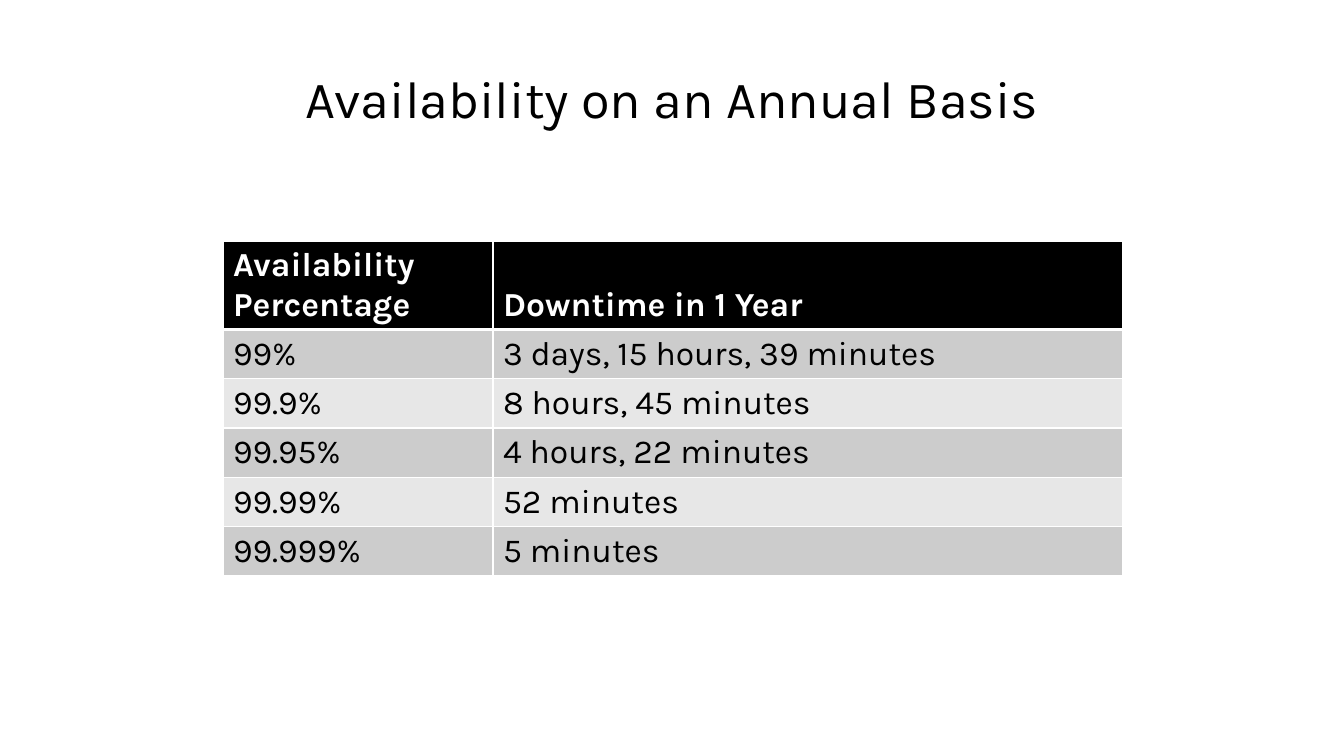
from pptx import Presentation
from pptx.dml.color import RGBColor
from pptx.enum.text import MSO_ANCHOR, PP_ALIGN
from pptx.oxml import parse_xml
from pptx.oxml.ns import nsdecls
from pptx.util import Pt

TOP, BOTTOM = MSO_ANCHOR.TOP, MSO_ANCHOR.BOTTOM
CENTER = PP_ALIGN.CENTER
SCALE = 12192000 / 1344
BLACK, WHITE = "000000", "FFFFFF"
BANDS = ["CCCCCC", "E7E7E7"]


def px(n):
    return round(n * SCALE)


def style(run, size, color, bold=False):
    font = run.font
    font.name = "Karla"
    font.size = Pt(size)
    font.bold = bold
    font.color.rgb = RGBColor.from_string(color)


deck = Presentation()
deck.slide_width, deck.slide_height = px(1344), px(756)
slide = deck.slides.add_slide(deck.slide_layouts[5])

title = slide.shapes.title
title.left, title.top, title.width, title.height = px(93), px(62), px(1159), px(59)
frame = title.text_frame
frame.word_wrap = True
frame.vertical_anchor = TOP
frame.margin_top = px(11)
frame.margin_bottom = 0
para = frame.paragraphs[0]
para.alignment = CENTER
para.line_spacing = 0.9
run = para.add_run()
run.text = "Availability on an Annual Basis"
style(run, 37.3, BLACK)

rows = [
    (["Availability ", "Percentage"], ["Downtime in 1 Year"]),
    (["99%"], ["3 days, 15 hours, 39 minutes"]),
    (["99.9%"], ["8 hours, 45 minutes"]),
    (["99.95%"], ["4 hours, 22 minutes"]),
    (["99.99%"], ["52 minutes"]),
    (["99.999%"], ["5 minutes"]),
]
widths = [270, 630]
heights = [88] + [49] * 5

grid = slide.shapes.add_table(
    len(rows), len(widths), px(223), px(241), px(sum(widths)), px(sum(heights))
).table
for col, width in zip(grid.columns, widths):
    col.width = px(width)
for row, height in zip(grid.rows, heights):
    row.height = px(height)

for r, row in enumerate(rows):
    head = r == 0
    for c, lines in enumerate(row):
        cell = grid.cell(r, c)
        cell.vertical_anchor = BOTTOM if head else TOP
        para = cell.text_frame.paragraphs[0]
        for i, line in enumerate(lines):
            if i:
                para.add_line_break()
            run = para.add_run()
            run.text = line
            style(run, 24, WHITE if head else BLACK, head)
        props = cell._tc.get_or_add_tcPr()
        for side in "LRTB":
            thick = (head and side == "B") or (r == 1 and side == "T")
            props.append(parse_xml(
                f'<a:ln{side} {nsdecls("a")} w="{Pt(3 if thick else 1)}"><a:solidFill>'
                f'<a:srgbClr val="{WHITE}"/></a:solidFill></a:ln{side}>'
            ))
        cell.fill.solid()
        cell.fill.fore_color.rgb = RGBColor.from_string(BLACK if head else BANDS[(r - 1) % 2])

deck.save("out.pptx")
